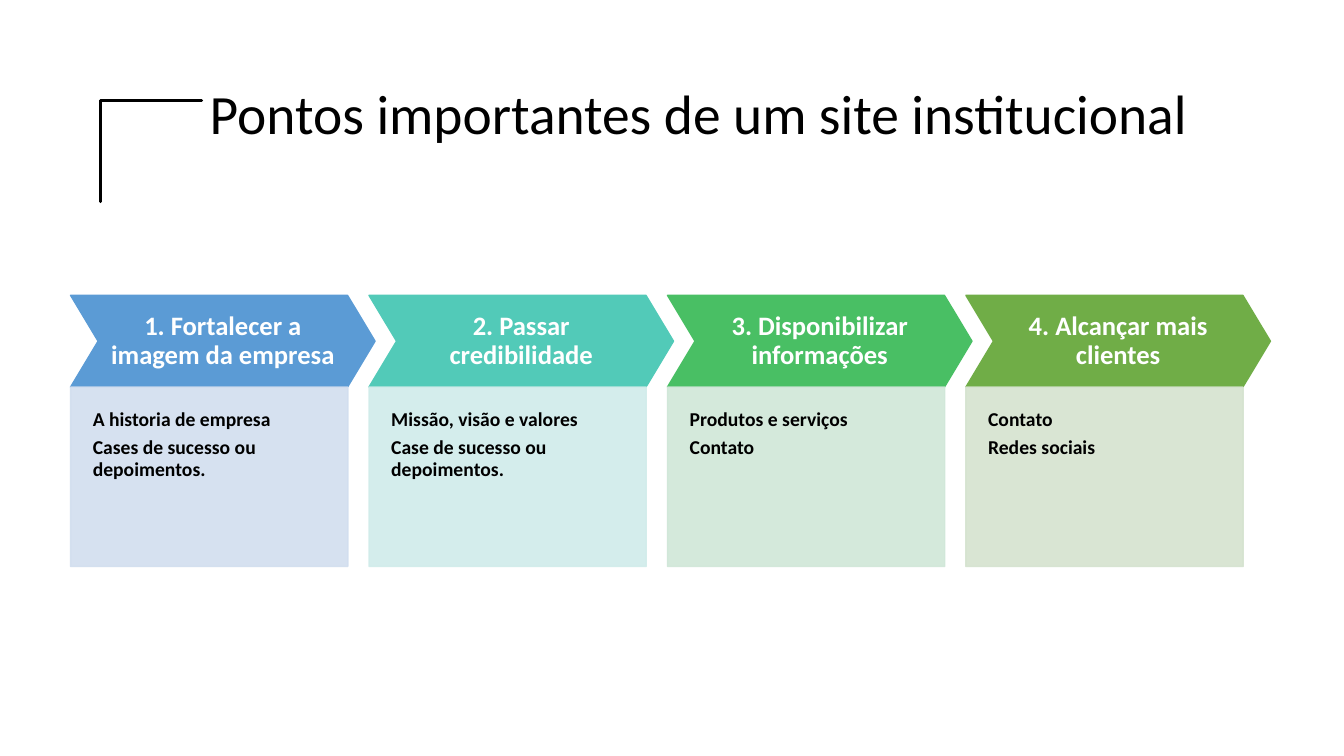
import math

import pptx
import pptx.util
import pptx.dml.color
import pptx.enum.shapes
import pptx.enum.text
import pptx.oxml
import pptx.oxml.ns

Inches = pptx.util.Inches
Pt = pptx.util.Pt
ALIGN = pptx.enum.text.PP_ALIGN
ANCHOR = pptx.enum.text.MSO_ANCHOR
SHAPE = pptx.enum.shapes.MSO_SHAPE

COLORS = {
    "ink": "000000",
    "white": "FFFFFF",
    "steps": ["5B9BD5", "52CAB8", "49BF64", "70AD47"],
    "details": ["D2DEEF", "D0ECEA", "D0E7D8", "D5E3CF"],
}

STEPS = [
    ("1. Fortalecer a imagem da empresa",
     ["A historia de empresa", "Cases de sucesso ou depoimentos."]),
    ("2. Passar credibilidade",
     ["Missão, visão e valores", "Case de sucesso ou depoimentos."]),
    ("3. Disponibilizar informações", ["Produtos e serviços", "Contato"]),
    ("4. Alcançar mais clientes", ["Contato", "Redes sociais"]),
]

STEP_LEFT, STEP_TOP, STEP_PITCH = 0.7, 2.93, 2.96
STEP_WIDTH, STEP_HEIGHT = 3.02, 0.91
DETAIL_WIDTH, DETAIL_HEIGHT = 2.75, 1.78


def rgb(value):
    return pptx.dml.color.RGBColor.from_string(value)


def write_text(frame, lines, size, color, align, anchor, margins, bold=True, after=0):
    """Fill a text frame, one paragraph a line; margins are left, top, right, bottom."""
    frame.word_wrap = True
    frame.vertical_anchor = anchor
    (frame.margin_left, frame.margin_top,
     frame.margin_right, frame.margin_bottom) = map(Inches, margins)
    for index, line in enumerate(lines):
        paragraph = frame.add_paragraph() if index else frame.paragraphs[0]
        paragraph.text = line
        paragraph.alignment = align
        paragraph.line_spacing = 0.9
        paragraph.space_after = Pt(after)
        paragraph.font.name = "Calibri"
        paragraph.font.size = Pt(size)
        paragraph.font.bold = bold
        paragraph.font.color.rgb = rgb(color)


def add_block(slide, kind, left, top, width, height, color):
    block = slide.shapes.add_shape(
        kind, Inches(left), Inches(top), Inches(width), Inches(height))
    block.shadow.inherit = False
    block.fill.solid()
    block.fill.fore_color.rgb = rgb(color)
    block.line.color.rgb = rgb(color)
    block.line.width = Pt(1)
    return block


def set_opacity(block, percent):
    """Apply the same opacity to fill and outline."""
    for color in block._element.spPr.iter(pptx.oxml.ns.qn("a:srgbClr")):
        alpha = pptx.oxml.parse_xml(
            f'<a:alpha {pptx.oxml.ns.nsdecls("a")} val="{percent * 1000}"/>')
        color.append(alpha)


def add_rounded_hexagon(slide, center_x, center_y, radius, cut):
    """Draw a hexagon whose corners are sampled quadratic curves."""
    corners = [(center_x + radius * math.cos(k * math.pi / 3),
                center_y + radius * math.sin(k * math.pi / 3)) for k in range(6)]
    points = []
    for k, (x, y) in enumerate(corners):
        before, following = corners[k - 1], corners[(k + 1) % 6]
        share = cut / radius
        for t in (0, 0.25, 0.5, 0.75, 1):
            pull_back, pull_on = share * (1 - t) ** 2, share * t ** 2
            points.append((
                x + pull_back * (before[0] - x) + pull_on * (following[0] - x),
                y + pull_back * (before[1] - y) + pull_on * (following[1] - y)))
    builder = slide.shapes.build_freeform(*points[0], scale=Inches(1))
    builder.add_line_segments(points[1:], close=True)
    hexagon = builder.convert_to_shape()
    hexagon.shadow.inherit = False
    hexagon.fill.background()
    hexagon.line.color.rgb = rgb(COLORS["ink"])
    hexagon.line.width = Pt(2.25)


def add_title(slide, text):
    title = slide.shapes.title
    title.left, title.top = Inches(1.98), Inches(0.57)
    title.width, title.height = Inches(10.81), Inches(1.17)
    write_text(title.text_frame, [text], 39.6, COLORS["ink"], ALIGN.LEFT,
               ANCHOR.MIDDLE, (0.1, 0.05, 0.1, 0.05), bold=False)


def add_step(slide, index, heading, details):
    left = STEP_LEFT + index * STEP_PITCH
    # Heading arrow
    arrow = add_block(slide, SHAPE.CHEVRON, left, STEP_TOP, STEP_WIDTH,
                      STEP_HEIGHT, COLORS["steps"][index])
    arrow.adjustments[0] = 0.3
    write_text(arrow.text_frame, [heading], 19, COLORS["white"], ALIGN.CENTER,
               ANCHOR.MIDDLE, (0.11, 0.11, 0.11, 0.11))
    # Detail panel
    panel = add_block(slide, SHAPE.RECTANGLE, left, STEP_TOP + STEP_HEIGHT,
                      DETAIL_WIDTH, DETAIL_HEIGHT, COLORS["details"][index])
    set_opacity(panel, 90)
    write_text(panel.text_frame, details, 14, COLORS["ink"], ALIGN.LEFT,
               ANCHOR.TOP, (0.22, 0.22, 0.22, 0.43), after=5.4)


def main():
    deck = pptx.Presentation()
    deck.slide_width, deck.slide_height = Inches(13.33), Inches(7.5)
    slide = deck.slides.add_slide(deck.slide_layouts[5])

    # Title and hexagon ornament
    add_title(slide, "Pontos importantes de um site institucional")
    add_rounded_hexagon(slide, 0.89, 1.29, 0.38, 0.05)
    add_rounded_hexagon(slide, 1.45, 0.96, 0.31, 0.04)

    # Process steps
    for index, (heading, details) in enumerate(STEPS):
        add_step(slide, index, heading, details)

    deck.save("out.pptx")


if __name__ == "__main__":
    main()
